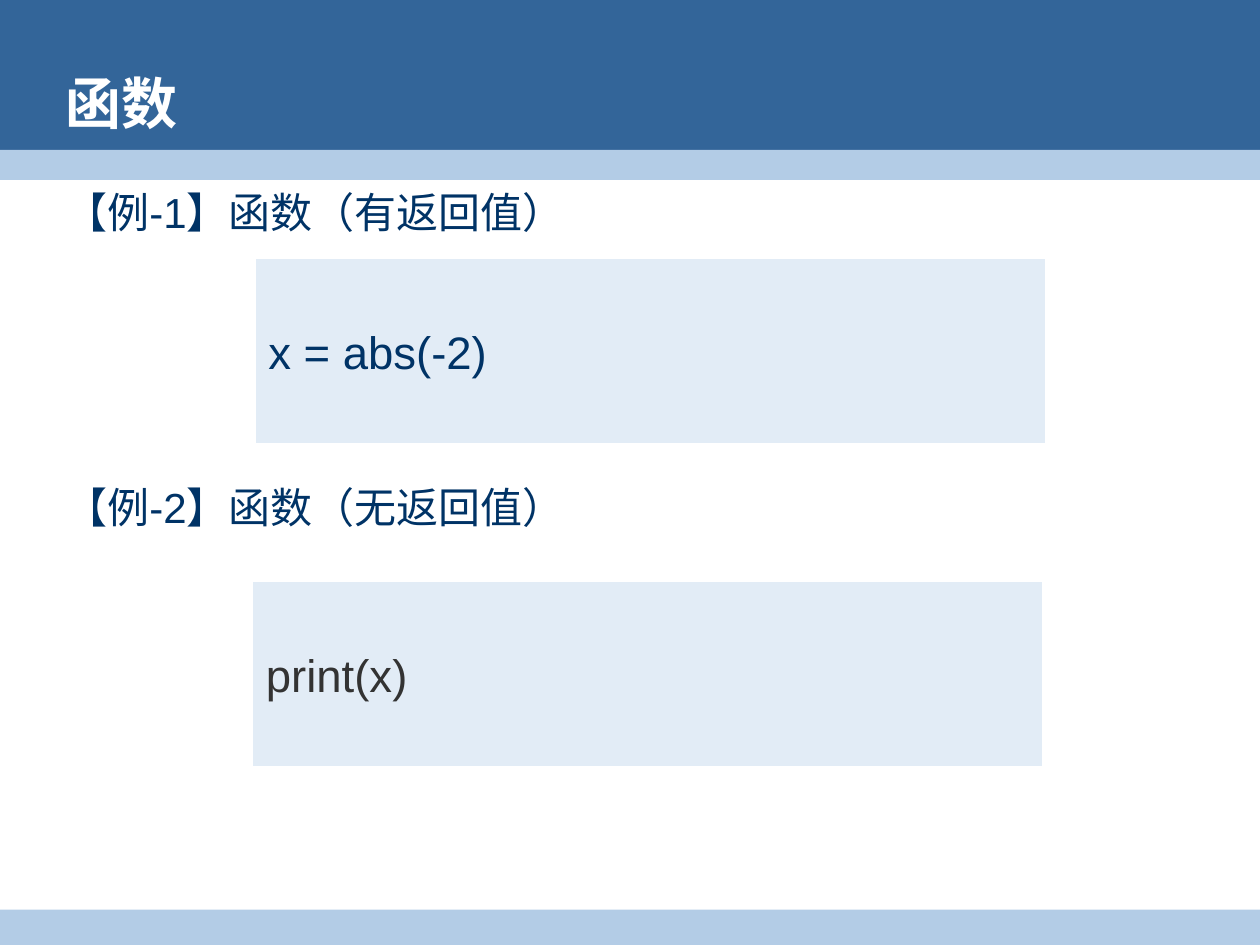
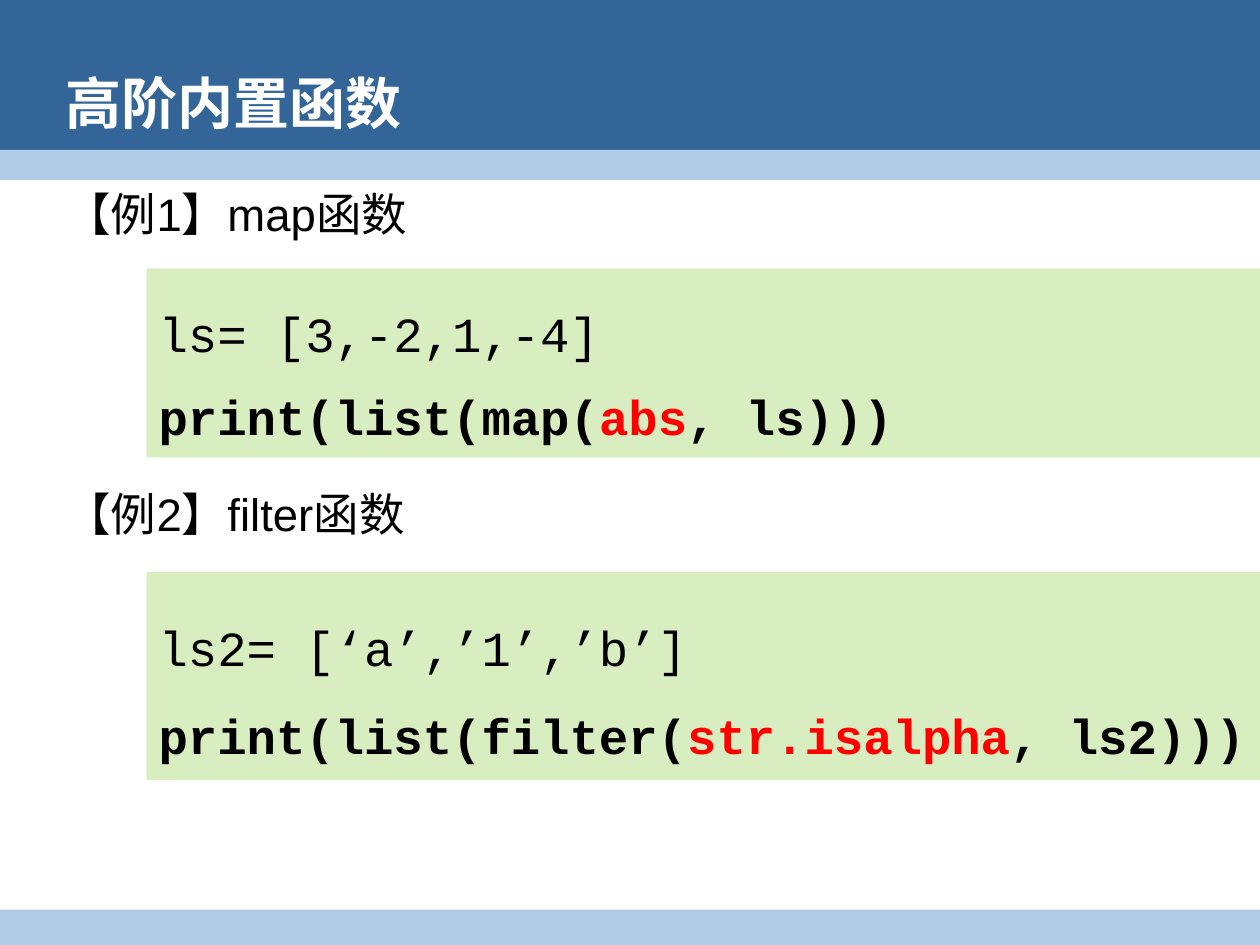
from lxml import etree
from pptx import Presentation
from pptx import util as u
from pptx.dml.color import RGBColor
from pptx.enum import shapes, text
from pptx.oxml import ns

COLOURS = {
    "header": "336599", "band": "B3CCE6", "white": "FFFFFF", "navy": "003366",
    "grey": "333333", "black": "000000", "red": "FF0000",
    "pale_blue": "E2ECF6", "green": "92D050",
}
HEADING_GAP = 140  # points left between the two headings for a code box


def add_block(slide, preset, box, colour):
    """Add a flat filled shape; box is left, top, width, height in cm."""
    block = slide.shapes.add_shape(preset, *[u.Cm(value) for value in box])
    block.shadow.inherit = False
    block.fill.solid()
    block.fill.fore_color.rgb = RGBColor.from_string(COLOURS[colour])
    block.line.fill.background()
    return block


def add_run(paragraph, words, size, colour, font="Arial", bold=False):
    """Append one formatted run to a paragraph."""
    run = paragraph.add_run()
    run.text = words
    run.font.size = u.Pt(size)
    run.font.name = font
    run.font.bold = bold
    run.font.color.rgb = RGBColor.from_string(COLOURS[colour])


# Each code line is a list of (words, colour, bold) runs.
SLIDES = [
    {
        "title": "函数", "heading_size": 24, "heading_colour": "navy",
        "headings": ["【例-1】函数（有返回值）", "【例-2】函数（无返回值）"],
        "fill": "pale_blue", "alpha": 100, "font": "Arial", "code_size": 26,
        "examples": [
            {"box": (5.16, 5.23, 15.9, 3.71), "spacing": 1,
             "lines": [[("x = abs(-2)", "navy", False)]]},
            {"box": (5.11, 11.73, 15.9, 3.71), "spacing": 1,
             "lines": [[("print(x)", "grey", False)]]},
        ],
    },
    {
        "title": "高阶内置函数", "heading_size": 26, "heading_colour": "black",
        "headings": ["【例1】map函数", "【例2】filter函数"],
        "fill": "green", "alpha": 35, "font": "Courier New", "code_size": 28,
        "examples": [
            {"box": (2.95, 5.41, 23.11, 3.81), "spacing": 1.4,
             "lines": [[("ls= [3,-2,1,-4]", "black", False)],
                       [("print(list(map(", "black", True),
                        ("abs", "red", True),
                        (", ls)))", "black", True)]]},
            {"box": (2.95, 11.53, 24.41, 4.19), "spacing": 1.5,
             "lines": [[("ls2= [‘a’,’1’,’b’]", "black", False)],
                       [("print(list(filter(", "black", True),
                        ("str.isalpha", "red", True),
                        (", ls2)))", "black", True)]]},
        ],
    },
]

presentation = Presentation()
presentation.slide_width = u.Cm(25.4)
presentation.slide_height = u.Cm(19.05)
title_only = presentation.slide_layouts[5]

for number, content in enumerate(SLIDES):
    slide = presentation.slides.add_slide(title_only)

    # The bands are drawn once and moved to the layout that all slides share.
    if number == 0:
        for box, colour in [
            ((0, 0, 25.4, 3.33), "header"),
            ((0, 3.02, 25.4, 0.61), "band"),
            ((0, 18.34, 25.4, 0.76), "band"),
        ]:
            band = add_block(slide, shapes.MSO_SHAPE.RECTANGLE, box, colour)
            title_only.shapes._spTree.append(band._element)

    # Title
    title = slide.shapes.title
    title.left, title.top = u.Cm(1.07), u.Cm(1.32)
    title.width, title.height = u.Cm(23.01), u.Cm(1.47)
    title.text_frame.auto_size = text.MSO_AUTO_SIZE.NONE
    title.text_frame.vertical_anchor = text.MSO_ANCHOR.MIDDLE
    paragraph = title.text_frame.paragraphs[0]
    paragraph.alignment = text.PP_ALIGN.LEFT
    add_run(paragraph, content["title"], 32, "white", bold=True)

    # Example headings
    body = slide.shapes.add_textbox(u.Cm(1.07), u.Cm(3.63), u.Cm(24.08), u.Cm(14.81))
    body.text_frame.word_wrap = True
    for index, heading in enumerate(content["headings"]):
        paragraph = body.text_frame.paragraphs[0] if index == 0 else body.text_frame.add_paragraph()
        paragraph.space_before = u.Pt(HEADING_GAP * index)
        add_run(paragraph, heading, content["heading_size"], content["heading_colour"])

    # Code boxes
    for example in content["examples"]:
        code_box = add_block(slide, shapes.MSO_SHAPE.FLOWCHART_PROCESS,
                             example["box"], content["fill"])
        if content["alpha"] < 100:
            colour_element = code_box._element.spPr.find(".//" + ns.qn("a:srgbClr"))
            alpha = etree.SubElement(colour_element, ns.qn("a:alpha"))
            alpha.set("val", str(content["alpha"] * 1000))
        frame = code_box.text_frame
        frame.word_wrap = True
        frame.vertical_anchor = text.MSO_ANCHOR.MIDDLE
        for index, line in enumerate(example["lines"]):
            paragraph = frame.paragraphs[0] if index == 0 else frame.add_paragraph()
            paragraph.alignment = text.PP_ALIGN.LEFT
            paragraph.line_spacing = float(example["spacing"])
            for words, colour, bold in line:
                add_run(paragraph, words, content["code_size"], colour, content["font"], bold)

presentation.save("out.pptx")
